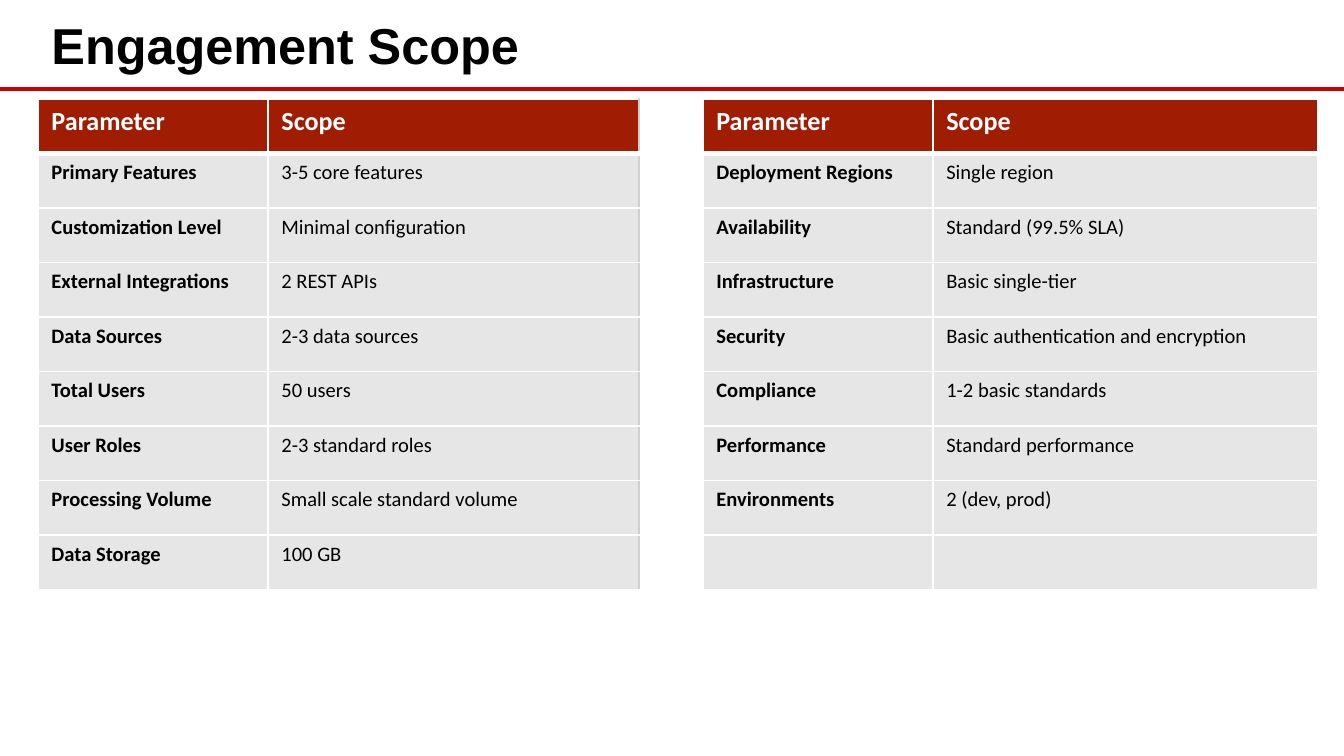
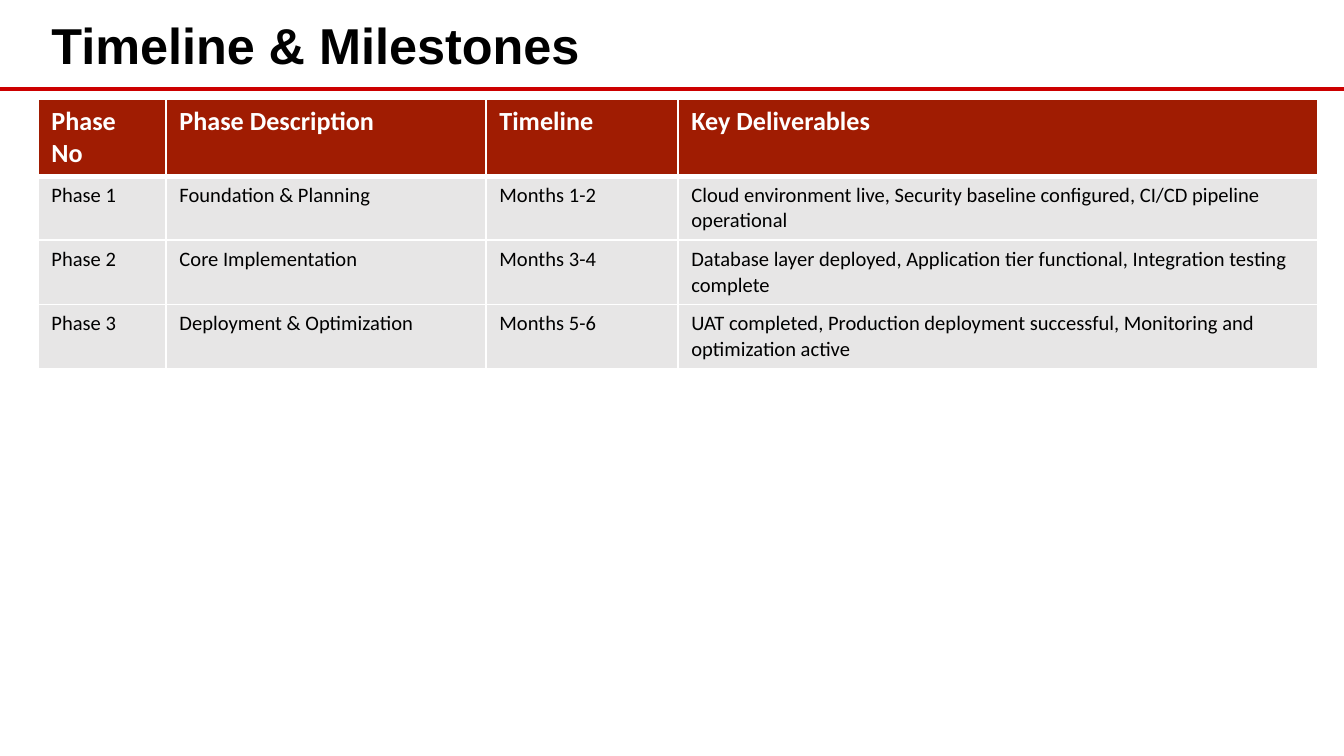
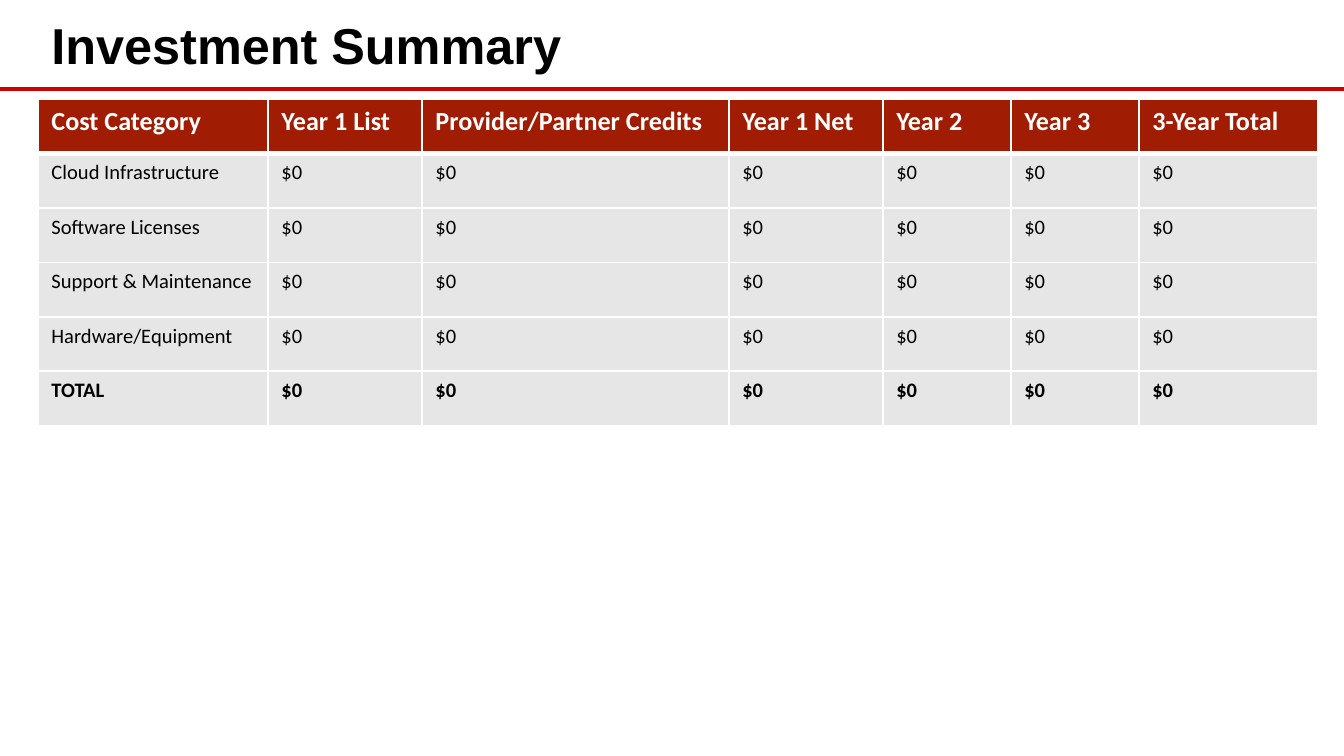
from lxml.etree import SubElement
from pptx import Presentation
from pptx.dml.color import RGBColor
from pptx.enum.shapes import MSO_CONNECTOR
from pptx.enum.text import MSO_ANCHOR, PP_ALIGN
from pptx.oxml.ns import qn
from pptx.util import Pt

COLORS = {
    "text": "000000",
    "white": "FFFFFF",
    "rule": "CC0000",
    "header": "A01C02",
    "body": "E7E6E6",
    "divider": "D0D0D0",
}
RGB = {name: RGBColor.from_string(value) for name, value in COLORS.items()}

LEFT, WIDTH = 38, 1280
TABLE_TOP = 99
RULE_Y = 89


def px(n):
    """Convert pixels at 134.4 to the inch into EMU."""
    return round(n * 914400 / 134.4)


def set_borders(cell, left, bottom_pt):
    """Draw white 1 pt borders, except for the left colour and bottom weight."""
    tcPr = cell._tc.get_or_add_tcPr()
    for side in "LRTB":
        weight = bottom_pt if side == "B" else 1
        ln = SubElement(tcPr, qn(f"a:ln{side}"), w=str(Pt(weight)))
        fill = SubElement(ln, qn("a:solidFill"))
        color = left if side == "L" else "white"
        SubElement(fill, qn("a:srgbClr"), val=COLORS[color])


left_scope = [
    ("Parameter", "Scope"),
    ("Primary Features", "3-5 core features"),
    ("Customization Level", "Minimal configuration"),
    ("External Integrations", "2 REST APIs"),
    ("Data Sources", "2-3 data sources"),
    ("Total Users", "50 users"),
    ("User Roles", "2-3 standard roles"),
    ("Processing Volume", "Small scale standard volume"),
    ("Data Storage", "100 GB"),
]
right_scope = [
    ("Parameter", "Scope"),
    ("Deployment Regions", "Single region"),
    ("Availability", "Standard (99.5% SLA)"),
    ("Infrastructure", "Basic single-tier"),
    ("Security", "Basic authentication and encryption"),
    ("Compliance", "1-2 basic standards"),
    ("Performance", "Standard performance"),
    ("Environments", "2 (dev, prod)"),
    ("", ""),
]
scope_rows = [(*a, "", *b) for a, b in zip(left_scope, right_scope)]

phase_rows = [
    ("Phase No", "Phase Description", "Timeline", "Key Deliverables"),
    ("Phase 1", "Foundation & Planning", "Months 1-2",
     "Cloud environment live, Security baseline configured, CI/CD pipeline operational"),
    ("Phase 2", "Core Implementation", "Months 3-4",
     "Database layer deployed, Application tier functional, Integration testing complete"),
    ("Phase 3", "Deployment & Optimization", "Months 5-6",
     "UAT completed, Production deployment successful, Monitoring and optimization active"),
]

cost_categories = ["Cloud Infrastructure", "Software Licenses",
                   "Support & Maintenance", "Hardware/Equipment", "TOTAL"]
cost_rows = [
    ("Cost Category", "Year 1 List", "Provider/Partner Credits", "Year 1 Net",
     "Year 2", "Year 3", "3-Year Total"),
    *[(category, *["$0"] * 6) for category in cost_categories],
]

# title, column widths, bold columns, spacer column, rows
slides = [
    ("Engagement Scope", [230, 371, 64, 230, 385], (0, 3), 2, scope_rows),
    ("Timeline & Milestones", [128, 320, 192, 640], (), None, phase_rows),
    ("Investment Summary", [230, 154, 307, 154, 128, 128, 179], (), None, cost_rows),
]

prs = Presentation()
prs.slide_width, prs.slide_height = px(1344), px(756)
title_only = prs.slide_layouts[5]

for title, widths, bold_cols, spacer, rows in slides:
    s = prs.slides.add_slide(title_only)

    rule = s.shapes.add_connector(
        MSO_CONNECTOR.STRAIGHT, 0, px(RULE_Y), prs.slide_width, px(RULE_Y))
    rule.line.color.rgb = RGB["rule"]
    rule.line.width = Pt(2.25)
    SubElement(rule.element.spPr, qn("a:effectLst"))

    sp = s.shapes.title
    sp.left, sp.top, sp.width, sp.height = px(LEFT), px(5), px(WIDTH), px(78)
    tf = sp.text_frame
    tf.text = title
    tf.vertical_anchor = MSO_ANCHOR.MIDDLE
    p = tf.paragraphs[0]
    p.alignment = PP_ALIGN.LEFT
    p.font.name, p.font.size, p.font.bold = "Arial", Pt(27), True
    p.font.color.rgb = RGB["text"]

    table = s.shapes.add_table(
        len(rows), len(widths), px(LEFT), px(TABLE_TOP),
        px(WIDTH), px(109 * len(rows) // 2)).table
    for column, width in zip(table.columns, widths):
        column.width = px(width)

    for i, row in enumerate(rows):
        is_header = i == 0
        for j, text in enumerate(row):
            cell = table.cell(i, j)
            is_spacer = j == spacer
            if is_header or is_spacer:
                set_borders(cell, "divider" if is_spacer else "white",
                            3 if is_header else 1)
            fill = "white" if is_spacer else "header" if is_header else "body"
            cell.fill.solid()
            cell.fill.fore_color.rgb = RGB[fill]
            if not text:
                continue
            cell.text = text
            font = cell.text_frame.paragraphs[0].font
            font.name = "Calibri"
            font.size = Pt(14 if is_header else 11)
            font.bold = is_header or j in bold_cols or row[0] == "TOTAL"
            font.color.rgb = RGB["white" if is_header else "text"]

prs.save("out.pptx")
